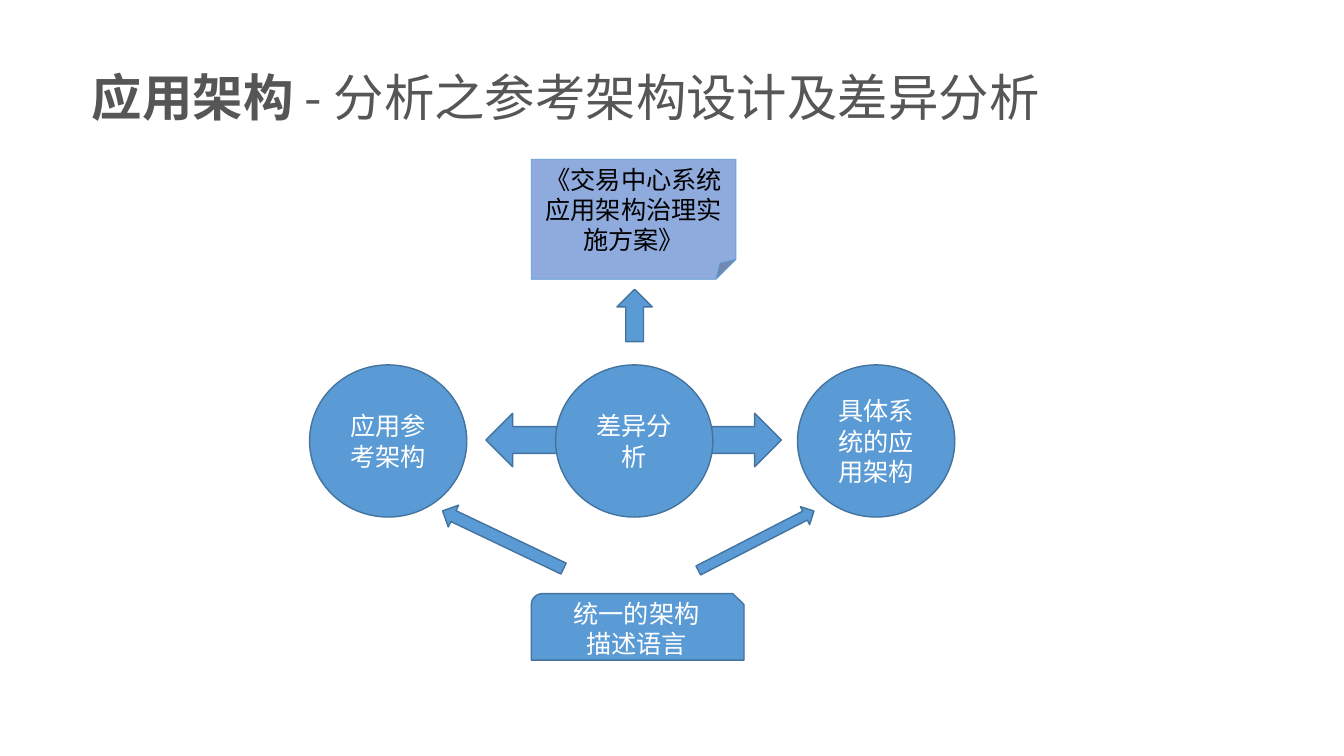
from pptx import Presentation
from pptx.dml.color import RGBColor
from pptx.enum.shapes import MSO_SHAPE
from pptx.enum.text import MSO_ANCHOR, MSO_AUTO_SIZE, PP_ALIGN
from pptx.util import Inches, Pt
from lxml import etree

ELLIPSE = MSO_SHAPE.OVAL
UP_ARROW = MSO_SHAPE.UP_ARROW
DOUBLE_ARROW = MSO_SHAPE.LEFT_RIGHT_ARROW
NOTE = MSO_SHAPE.FOLDED_CORNER
SNIPPED = MSO_SHAPE.SNIP_ROUND_RECTANGLE
LEFT, CENTER = PP_ALIGN.LEFT, PP_ALIGN.CENTER
TOP, MIDDLE = MSO_ANCHOR.TOP, MSO_ANCHOR.MIDDLE
NO_AUTOFIT = MSO_AUTO_SIZE.NONE

FONT = "Noto Sans CJK SC"
DRAWING = "{http://schemas.openxmlformats.org/drawingml/2006/main}"
COLORS = {
    "title": "565656",
    "blue": "5B9BD5",
    "outline": "43739E",
    "note": "8FAADC",
    "white": "FFFFFF",
    "black": "000000",
}

deck = Presentation()
deck.slide_width, deck.slide_height = Inches(13.33), Inches(7.5)
slide = deck.slides.add_slide(deck.slide_layouts[5])


def box(left, top, width, height):
    across, down = deck.slide_width / 100, deck.slide_height / 100
    return [round(v) for v in (left * across, top * down, width * across, height * down)]


def style(paragraph, size, color, align):
    paragraph.alignment = align
    paragraph.font.name = FONT
    paragraph.font.size = Pt(size)
    paragraph.font.color.rgb = RGBColor.from_string(COLORS[color])
    for run in paragraph.runs:
        east_asian = etree.SubElement(run.font._element, DRAWING + "ea")
        east_asian.set("typeface", FONT)


title = slide.shapes.title
title.left, title.top, title.width, title.height = box(6.08, 8.13, 72.47, 9.47)
title.text_frame.word_wrap = True
title.text_frame.auto_size = NO_AUTOFIT
title.text_frame.vertical_anchor = TOP
heading = title.text_frame.paragraphs[0]
for words, bold in [("应用架构 ", True), ("- 分析之参考架构设计及差异分析", False)]:
    part = heading.add_run()
    part.text = words
    part.font.bold = bold
style(heading, 36, "title", LEFT)

circle_top, circle_width, circle_height = 48.27, 11.7, 20.13
reference, difference, concrete = [
    (left, circle_top, circle_width, circle_height) for left in (23.03, 41.34, 59.34)
]

diagram = [
    (ELLIPSE, reference, 0, "应用参考架构"),
    (ELLIPSE, concrete, 0, "具体系统的应用架构"),
    (UP_ARROW, (45.91, 38.27, 2.63, 6.93), 0, ""),
    (DOUBLE_ARROW, (36.16, 54.67, 21.98, 7.07), 0, ""),
    (ELLIPSE, difference, 0, "差异分析"),
    (NOTE, (39.53, 21.07, 15.23, 15.87), 0, "《交易中心系统应用架构治理实施方案》"),
    (UP_ARROW, (36.53, 62.53, 1.8, 17.73), 295.5, ""),
    (UP_ARROW, (55.51, 62.93, 1.5, 17.2), 62.8, ""),
    (SNIPPED, (39.53, 78.53, 15.83, 8.8), 0, "统一的架构\n描述语言"),
]

for kind, area, angle, label in diagram:
    fill, line, weight, ink = "blue", "outline", 1, "white"
    if kind == NOTE:
        fill, line, weight, ink = "note", "blue", 0.5, "black"
    item = slide.shapes.add_shape(kind, *box(*area))
    item.rotation = angle
    item.shadow.inherit = False
    item.fill.solid()
    item.fill.fore_color.rgb = RGBColor.from_string(COLORS[fill])
    item.line.color.rgb = RGBColor.from_string(COLORS[line])
    item.line.width = Pt(weight)
    if label:
        item.text_frame.text = label
        item.text_frame.word_wrap = True
        item.text_frame.vertical_anchor = MIDDLE
        for paragraph in item.text_frame.paragraphs:
            style(paragraph, 18, ink, CENTER)

deck.save("out.pptx")
